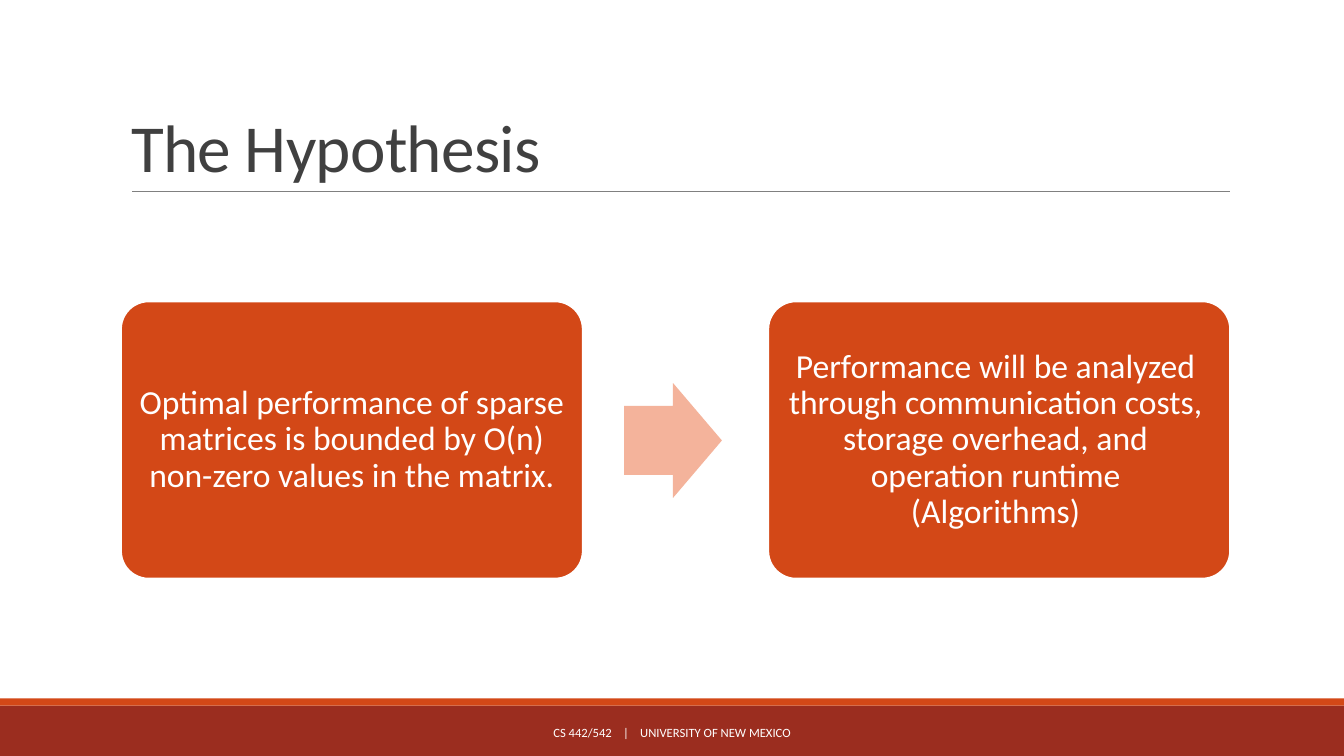
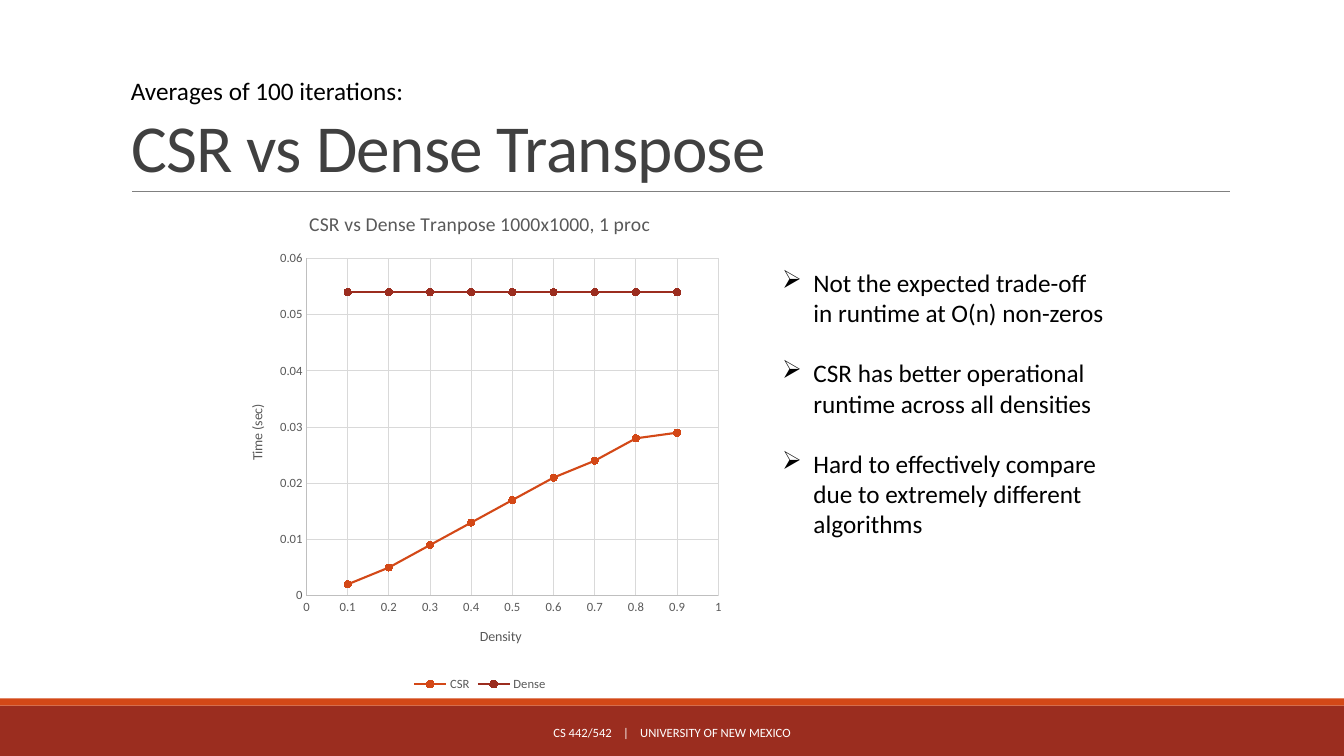
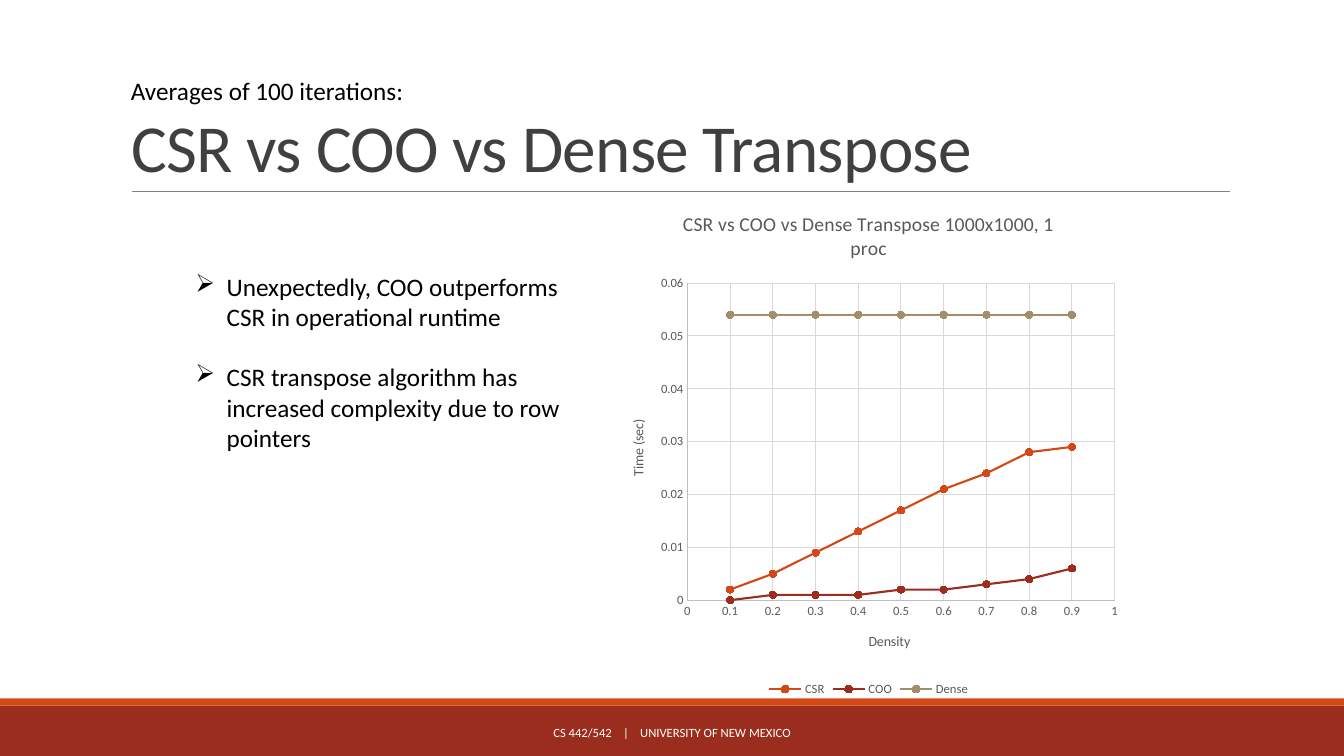
from dataclasses import dataclass

from lxml import etree
from pptx import Presentation
from pptx.chart.data import XyChartData
from pptx.dml.color import RGBColor
from pptx.enum.chart import XL_CHART_TYPE, XL_LEGEND_POSITION, XL_MARKER_STYLE, XL_TICK_MARK
from pptx.enum.shapes import MSO_CONNECTOR, MSO_SHAPE
from pptx.enum.text import MSO_ANCHOR, MSO_AUTO_SIZE, PP_ALIGN
from pptx.oxml import parse_xml
from pptx.oxml.ns import qn
from pptx.util import Inches, Pt

LEFT, CENTER = PP_ALIGN.LEFT, PP_ALIGN.CENTER
TOP, MIDDLE, BOTTOM = MSO_ANCHOR.TOP, MSO_ANCHOR.MIDDLE, MSO_ANCHOR.BOTTOM
RECTANGLE, ROUNDED = MSO_SHAPE.RECTANGLE, MSO_SHAPE.ROUNDED_RECTANGLE
RIGHT_ARROW = MSO_SHAPE.RIGHT_ARROW
STRAIGHT = MSO_CONNECTOR.STRAIGHT
SCATTER_LINES = XL_CHART_TYPE.XY_SCATTER_LINES
CIRCLE = XL_MARKER_STYLE.CIRCLE
NO_TICKS = XL_TICK_MARK.NONE
LEGEND_BOTTOM = XL_LEGEND_POSITION.BOTTOM
CHART_NAMESPACE = "http://schemas.openxmlformats.org/drawingml/2006/chart"


@dataclass(frozen=True)
class Theme:
    font: str = "Calibri"
    bullet_font: str = "OpenSymbol"
    orange: RGBColor = RGBColor.from_string("D34817")
    brick: RGBColor = RGBColor.from_string("9B2D1F")
    tan: RGBColor = RGBColor.from_string("A28E6A")
    peach: RGBColor = RGBColor.from_string("F4B39B")
    white: RGBColor = RGBColor.from_string("FFFFFF")
    black: RGBColor = RGBColor.from_string("000000")
    title_gray: RGBColor = RGBColor.from_string("404040")
    rule_gray: RGBColor = RGBColor.from_string("808080")
    chart_gray: RGBColor = RGBColor.from_string("595959")
    axis_gray: RGBColor = RGBColor.from_string("BFBFBF")
    grid_gray: RGBColor = RGBColor.from_string("D9D9D9")
    title_size: int = 48
    box_size: int = 24
    body_size: int = 18
    chart_title_size: int = 14
    axis_title_size: int = 10
    small_size: int = 9


THEME = Theme()


def write_text(shape, paragraphs, *, size, color, align=LEFT, anchor=TOP, wrap=True,
               line_spacing=None, gap=0, bullet=None):
    """Fill a shape with paragraphs, each a list of (text, letter spacing in points)."""
    frame = shape.text_frame
    frame.auto_size = MSO_AUTO_SIZE.NONE
    frame.word_wrap = wrap
    frame.vertical_anchor = anchor
    for index, runs in enumerate(paragraphs):
        paragraph = frame.add_paragraph() if index else frame.paragraphs[0]
        paragraph.alignment = align
        paragraph.line_spacing = line_spacing
        paragraph.space_before = Pt(gap if index else 0)
        for text, tracking in runs:
            run = paragraph.add_run()
            run.text = text
            run.font.name = THEME.font
            run.font.size = Pt(size)
            run.font.color.rgb = color
            if tracking:
                run._r.get_or_add_rPr().set("spc", str(int(tracking * 100)))
        if bullet:
            properties = paragraph._p.get_or_add_pPr()
            properties.set("marL", str(Inches(0.31)))
            properties.set("indent", str(-Inches(0.31)))
            etree.SubElement(properties, qn("a:buFont")).set("typeface", THEME.bullet_font)
            etree.SubElement(properties, qn("a:buChar")).set("char", bullet)


def add_block(slide, kind, left, top, width, height, fill):
    """Add a flat preset shape without outline or shadow."""
    shape = slide.shapes.add_shape(kind, Inches(left), Inches(top), Inches(width), Inches(height))
    shape.shadow.inherit = False
    shape.fill.solid()
    shape.fill.fore_color.rgb = fill
    shape.line.fill.background()
    return shape


presentation = Presentation()
presentation.slide_width = Inches(13.33)
presentation.slide_height = Inches(7.5)
layout = presentation.slide_layouts[5]

titles = ["The Hypothesis", "CSR vs Dense Transpose", "CSR vs COO vs Dense Transpose"]
slides = [presentation.slides.add_slide(layout) for _ in titles]

# Bands and title rule, moved into the layout that all slides share
hypothesis_slide = slides[0]
footer_band = add_block(hypothesis_slide, RECTANGLE, 0, 7, 13.33, 0.5, THEME.brick)
accent_band = add_block(hypothesis_slide, RECTANGLE, 0, 6.93, 13.33, 0.07, THEME.orange)
title_rule = hypothesis_slide.shapes.add_connector(
    STRAIGHT, Inches(1.31), Inches(1.9), Inches(12.2), Inches(1.9))
title_rule.line.color.rgb = THEME.rule_gray
title_rule.line.width = Pt(0.5)
etree.SubElement(title_rule.element.spPr, qn("a:effectLst"))
for shape in (footer_band, accent_band, title_rule):
    layout.shapes.element.append(shape.element)

# Title and footer of every slide
footer_runs = [("CS 442/542", 0), (" ", 6), ("|", 0), (" ", 6), ("UNIVERSITY OF NEW MEXICO", 0)]
for slide, title_text in zip(slides, titles):
    title = slide.shapes.title
    title.left, title.top = Inches(1.2), Inches(0.31)
    title.width, title.height = Inches(11), Inches(1.59)
    write_text(title, [[(title_text, -0.5)]], size=THEME.title_size, color=THEME.title_gray,
               anchor=BOTTOM, line_spacing=0.85)
    footer = slide.shapes.add_textbox(Inches(4.03), Inches(7.07), Inches(5.27), Inches(0.4))
    write_text(footer, [footer_runs], size=THEME.small_size, color=THEME.white,
               align=CENTER, anchor=MIDDLE)

# Hypothesis: two boxes joined by a block arrow
hypothesis_boxes = [
    (1.2, 0.1, "Optimal performance of sparse matrices is bounded by O(n) "
               "non-zero values in the matrix."),
    (7.62, 0.17, "Performance will be analyzed through communication costs, "
                 "storage overhead, and operation runtime (Algorithms)"),
]
for left, right_inset, text in hypothesis_boxes:
    box = add_block(hypothesis_slide, ROUNDED, left, 2.99, 4.58, 2.75, THEME.orange)
    box.adjustments[0] = 0.1
    box.line.color.rgb = THEME.white
    box.line.width = Pt(1.25)
    box.text_frame.margin_left = Inches(0.1)
    box.text_frame.margin_right = Inches(right_inset)
    write_text(box, [[(text, 0)]], size=THEME.box_size, color=THEME.white,
               align=CENTER, anchor=MIDDLE, line_spacing=0.9)
arrow = add_block(hypothesis_slide, RIGHT_ARROW, 6.19, 3.8, 0.97, 1.14, THEME.peach)
arrow.adjustments[0] = 0.6
arrow.adjustments[1] = 0.5

# Measurements: run time in seconds for each density
densities = [step / 10 for step in range(1, 10)]
csr_times = [0.002, 0.005, 0.009, 0.013, 0.017, 0.021, 0.024, 0.028, 0.029]
coo_times = [0, 0.001, 0.001, 0.001, 0.002, 0.002, 0.003, 0.004, 0.006]
dense_times = [0.054] * len(densities)

results = [
    {
        "slide": slides[1],
        "chart_title": "CSR vs Dense Tranpose 1000x1000, 1 proc",
        "chart_box": (2.26, 1.9, 5, 5),
        "plot_box": (0.156, 0.133, 0.817, 0.669),
        "time_title": (0.035, 0.417),
        "series": [("CSR", csr_times, THEME.orange), ("Dense", dense_times, THEME.brick)],
        "notes_box": (7.66, 2.6, 3.42, 2.83),
        "findings": ["Not the expected trade-off in runtime at O(n) non-zeros",
                     "CSR has better operational runtime across all densities",
                     "Hard to effectively compare due to extremely different algorithms"],
    },
    {
        "slide": slides[2],
        "chart_title": "CSR vs COO vs Dense Transpose 1000x1000, 1 proc",
        "chart_box": (6.04, 1.9, 5.15, 5.05),
        "plot_box": (0.151, 0.18, 0.823, 0.623),
        "time_title": (0.034, 0.443),
        "series": [("CSR", csr_times, THEME.orange), ("COO", coo_times, THEME.brick),
                   ("Dense", dense_times, THEME.tan)],
        "notes_box": (1.84, 2.64, 3.82, 1.92),
        "findings": ["Unexpectedly, COO outperforms CSR in operational runtime",
                     "CSR transpose algorithm has increased complexity due to row pointers"],
    },
]

for result in results:
    slide = result["slide"]

    # Caption above the title and bulleted findings
    caption = slide.shapes.add_textbox(Inches(1.2), Inches(0.7), Inches(2.93), Inches(0.4))
    write_text(caption, [[("Averages of 100 iterations:", 0)]], size=THEME.body_size,
               color=THEME.black, wrap=False)
    findings = slide.shapes.add_textbox(*map(Inches, result["notes_box"]))
    write_text(findings, [[(text, 0)] for text in result["findings"]], size=THEME.body_size,
               color=THEME.black, gap=21.5, bullet="➢")

    # Scatter chart
    chart_data = XyChartData()
    for name, times, _ in result["series"]:
        data_series = chart_data.add_series(name)
        for density, seconds in zip(densities, times):
            data_series.add_data_point(density, seconds)
    chart = slide.shapes.add_chart(
        SCATTER_LINES, *map(Inches, result["chart_box"]), chart_data).chart
    chart.font.name = THEME.font
    chart.font.size = Pt(THEME.small_size)
    chart.font.color.rgb = THEME.chart_gray
    chart.plots[0].vary_by_categories = False
    chart.has_legend = True
    chart.legend.position = LEGEND_BOTTOM
    chart.legend.include_in_layout = False

    for series, (_, _, color) in zip(chart.plots[0].series, result["series"]):
        series.format.line.color.rgb = color
        series.format.line.width = Pt(1.5)
        series.marker.style = CIRCLE
        series.marker.size = 5
        series.marker.format.fill.solid()
        series.marker.format.fill.fore_color.rgb = color
        series.marker.format.line.color.rgb = color

    # Axes
    for axis, maximum, step in ((chart.category_axis, 1, 0.1), (chart.value_axis, 0.06, 0.01)):
        axis.minimum_scale = 0
        axis.maximum_scale = maximum
        axis.major_unit = step
        axis.major_tick_mark = axis.minor_tick_mark = NO_TICKS
        axis.tick_labels.number_format = "General"
        axis.tick_labels.number_format_is_linked = False
        axis.has_major_gridlines = True
        for line, color in ((axis.format.line, THEME.axis_gray),
                            (axis.major_gridlines.format.line, THEME.grid_gray)):
            line.color.rgb = color
            line.width = Pt(0.75)

    # Chart and axis titles
    density_title = chart.category_axis.axis_title
    time_title = chart.value_axis.axis_title
    for heading, text, size in (
            (chart.chart_title, result["chart_title"], THEME.chart_title_size),
            (density_title, "Density", THEME.axis_title_size),
            (time_title, "Time (sec)", THEME.axis_title_size)):
        run = heading.text_frame.paragraphs[0].add_run()
        run.text = text
        run.font.name = THEME.font
        run.font.size = Pt(size)
        run.font.bold = False
        run.font.color.rgb = THEME.chart_gray
    chart.chart_title.include_in_layout = False
    time_title.text_frame._txBody.bodyPr.set("rot", "-5400000")
    time_title.text_frame._txBody.bodyPr.set("vert", "horz")

    # Fixed places of the plot area and the axis titles, as fractions of the chart
    plot_area = chart.element.find(".//" + qn("c:plotArea"))
    for element, index, place in (
            (plot_area, 0, result["plot_box"]),
            (density_title._element, 1, (0.495, 0.86)),
            (time_title._element, 1, result["time_title"])):
        for old_layout in element.findall(qn("c:layout")):
            element.remove(old_layout)
        target = '<c:layoutTarget val="inner"/>' if element is plot_area else ""
        modes = '<c:xMode val="edge"/><c:yMode val="edge"/>'
        values = "".join(f'<c:{key} val="{value}"/>' for key, value in zip("xywh", place))
        element.insert(index, parse_xml(
            f'<c:layout xmlns:c="{CHART_NAMESPACE}"><c:manualLayout>'
            f"{target}{modes}{values}</c:manualLayout></c:layout>"))

presentation.save("out.pptx")
